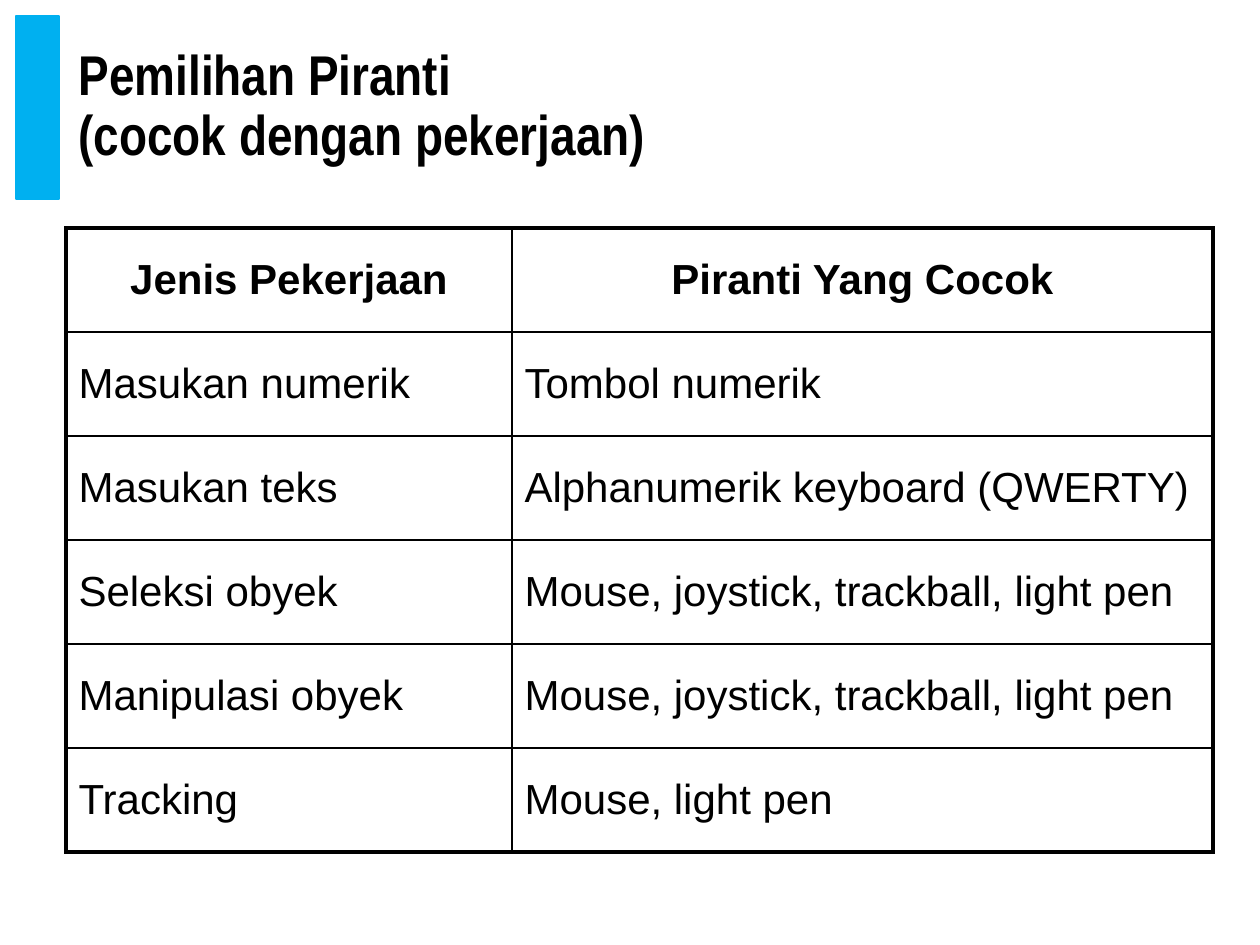
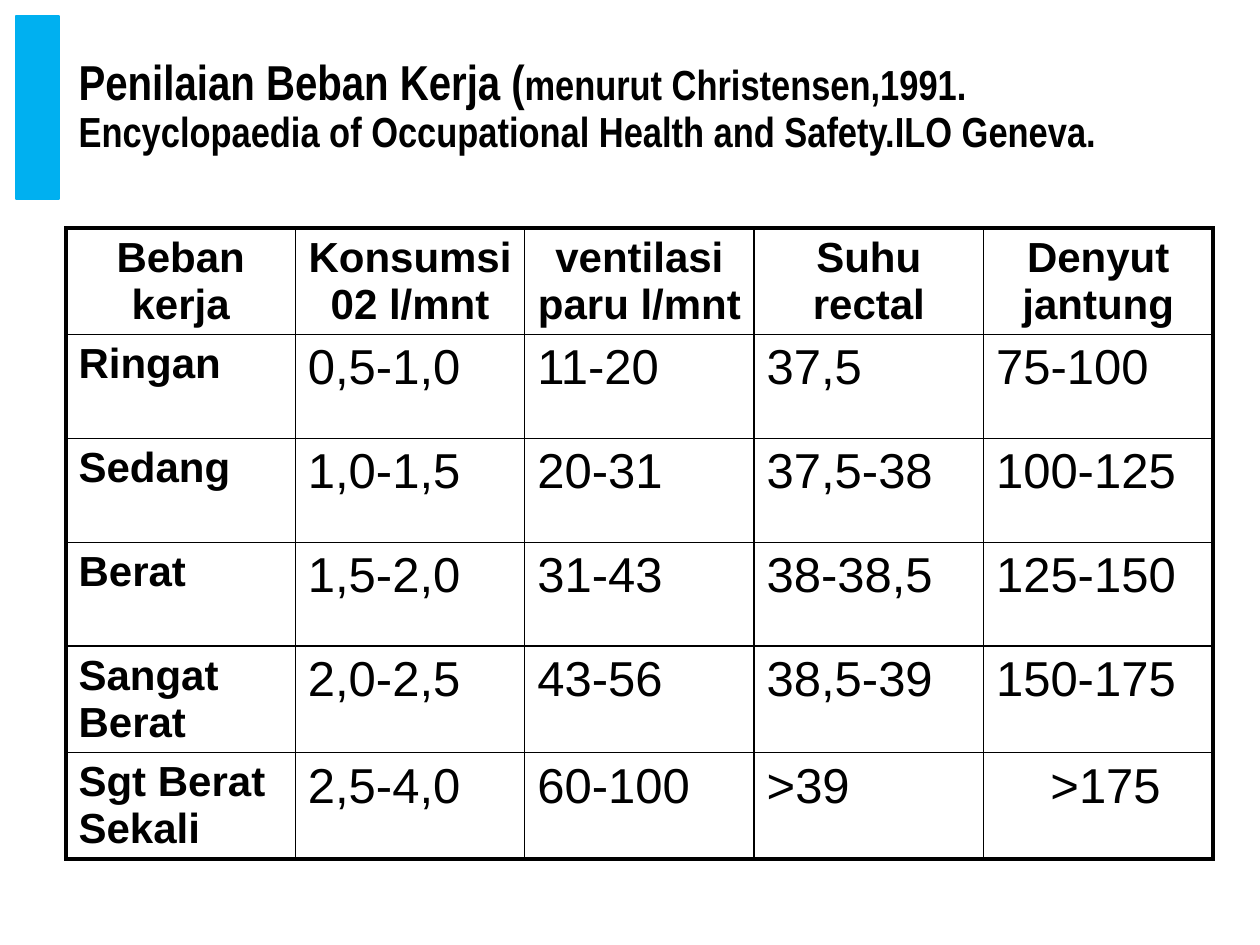
from lxml import etree
from pptx import Presentation
from pptx.dml.color import RGBColor
from pptx.enum.shapes import MSO_SHAPE
from pptx.enum.text import MSO_ANCHOR, MSO_AUTO_SIZE, PP_ALIGN
from pptx.oxml.ns import qn
from pptx.util import Pt

PX = 914400 / 126
BLACK, WHITE, BLUE = "000000", "FFFFFF", "00B0F0"
TITLE_FONT, TABLE_FONT = "Arial Narrow", "Arial"
LEFT, CENTER = PP_ALIGN.LEFT, PP_ALIGN.CENTER
TOP, MIDDLE = MSO_ANCHOR.TOP, MSO_ANCHOR.MIDDLE
RECTANGLE, NO_AUTOFIT = MSO_SHAPE.RECTANGLE, MSO_AUTO_SIZE.NONE
CONTENT_LEFT, CONTENT_WIDTH = 66, 1147
HEADING_TOP, HEADING_HEIGHT = 16, 183
TABLE_TOP, ROW_HEIGHT = 228, 104
THIN, THICK = Pt(1), Pt(2.25)

pages = [
    {
        "title": [("Pemilihan Piranti\v(cocok dengan pekerjaan)", 32)],
        "widths": [446, 701],
        "anchor": MIDDLE,
        "value_size": 24,
        "bold_labels": False,
        "rows": [
            ["Jenis Pekerjaan", "Piranti Yang Cocok"],
            ["Masukan numerik", "Tombol numerik"],
            ["Masukan teks", "Alphanumerik keyboard (QWERTY)"],
            ["Seleksi obyek", "Mouse, joystick, trackball, light pen"],
            ["Manipulasi obyek", "Mouse, joystick, trackball, light pen"],
            ["Tracking", "Mouse, light pen"],
        ],
    },
    {
        "title": [("Penilaian Beban Kerja (", 28),
                  ("menurut Christensen,1991. Encyclopaedia of Occupational "
                   "Health and Safety.ILO Geneva.", 24)],
        "widths": [CONTENT_WIDTH / 5] * 5,
        "anchor": TOP,
        "value_size": 28,
        "bold_labels": True,
        "rows": [
            ["Beban kerja", "Konsumsi 02 l/mnt", "ventilasi paru l/mnt",
             "Suhu rectal", "Denyut jantung"],
            ["Ringan", "0,5-1,0", "11-20", "37,5", "75-100"],
            ["Sedang", "1,0-1,5", "20-31", "37,5-38", "100-125"],
            ["Berat", "1,5-2,0", "31-43", "38-38,5", "125-150"],
            ["Sangat Berat", "2,0-2,5", "43-56", "38,5-39", "150-175"],
            ["Sgt Berat Sekali", "2,5-4,0", "60-100", ">39", ">175"],
        ],
    },
]


def px(*lengths):
    """Convert pixel lengths to a list of EMU."""
    return [round(length * PX) for length in lengths]


def write(paragraph, text, size=24, bold=True, font=TABLE_FONT, align=LEFT, color=BLACK):
    """Append text to the paragraph; a vertical tab starts a new line."""
    paragraph.alignment = align
    for number, line in enumerate(text.split("\v")):
        if number:
            paragraph.add_line_break()
        run = paragraph.add_run()
        run.text = line
        run.font.size = Pt(size)
        run.font.bold = bold
        run.font.name = font
        run.font.color.rgb = RGBColor.from_string(color)


prs = Presentation()
prs.slide_width, prs.slide_height = px(1260, 945)
title_only = prs.slide_layouts[5]

for page in pages:
    slide = prs.slides.add_slide(title_only)

    band = slide.shapes.add_shape(RECTANGLE, *px(16, HEADING_TOP, 43, HEADING_HEIGHT))
    band.shadow.inherit = False
    band.fill.solid()
    band.fill.fore_color.rgb = RGBColor.from_string(BLUE)
    band.line.color.rgb = RGBColor.from_string(BLUE)
    band.line.width = THIN

    title = slide.shapes.title
    title.left, title.top, title.width, title.height = px(
        CONTENT_LEFT, HEADING_TOP, CONTENT_WIDTH, HEADING_HEIGHT)
    heading = title.text_frame
    heading.word_wrap = True
    heading.auto_size = NO_AUTOFIT
    heading.vertical_anchor = MIDDLE
    heading.paragraphs[0].line_spacing = 0.9
    for text, size in page["title"]:
        write(heading.paragraphs[0], text, size=size, font=TITLE_FONT)

    rows, widths = page["rows"], page["widths"]
    last_row, last_column = len(rows) - 1, len(widths) - 1
    table = slide.shapes.add_table(
        len(rows), len(widths),
        *px(CONTENT_LEFT, TABLE_TOP, CONTENT_WIDTH, ROW_HEIGHT * len(rows))).table
    table.first_row = table.horz_banding = False
    for column, width in zip(table.columns, px(*widths)):
        column.width = width

    for r, row in enumerate(rows):
        for c, text in enumerate(row):
            cell = table.cell(r, c)
            cell.vertical_anchor = page["anchor"]
            is_header = r == 0
            is_label = c == 0 and page["bold_labels"]
            write(cell.text_frame.paragraphs[0], text,
                  size=24 if is_header or is_label else page["value_size"],
                  bold=is_header or is_label,
                  align=CENTER if is_header else LEFT)
            if text == ">175":
                cell.margin_left = px(67)[0]

            outer_edges = {"lnL": c == 0, "lnR": c == last_column,
                           "lnT": r == 0, "lnB": r == last_row}
            properties = cell._tc.get_or_add_tcPr()
            for edge, is_outer in outer_edges.items():
                border = etree.SubElement(properties, qn(f"a:{edge}"),
                                          w=str(THICK if is_outer else THIN))
                paint = etree.SubElement(border, qn("a:solidFill"))
                etree.SubElement(paint, qn("a:srgbClr"), val=BLACK)
            cell.fill.solid()
            cell.fill.fore_color.rgb = RGBColor.from_string(WHITE)

prs.save("out.pptx")
